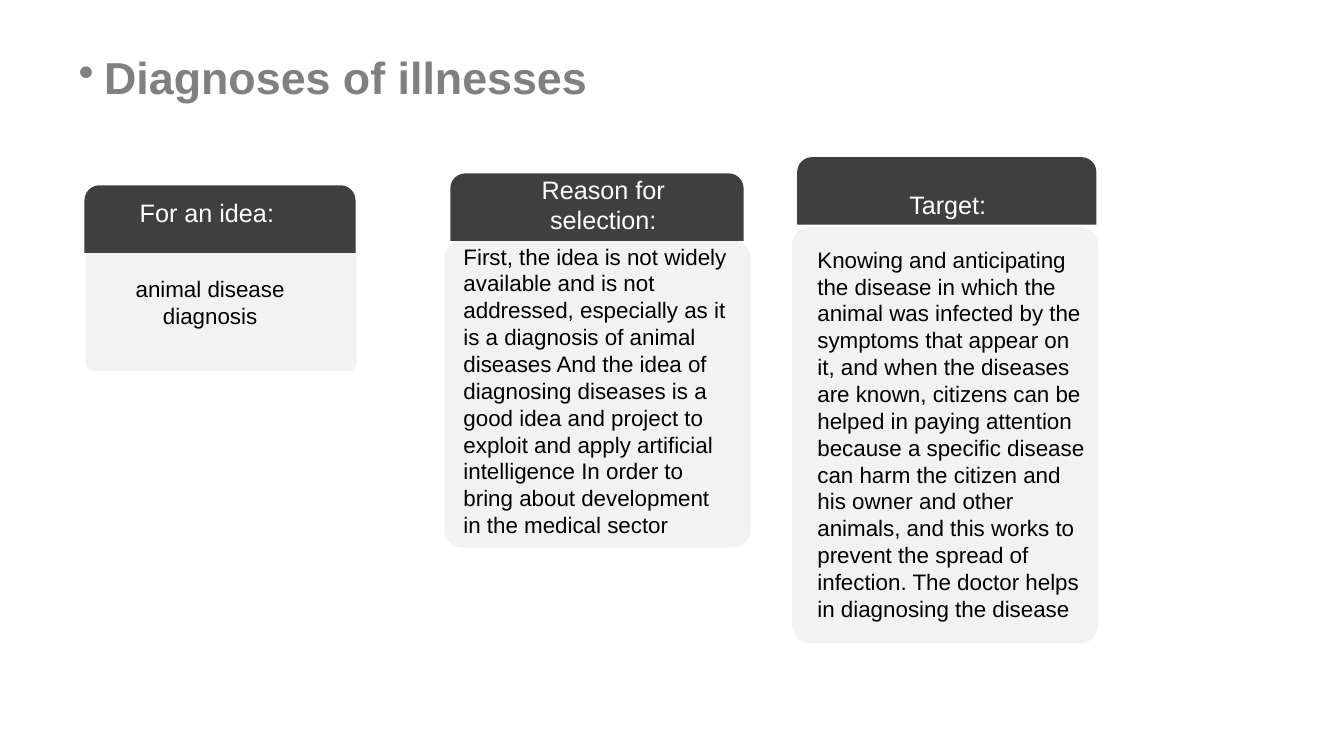
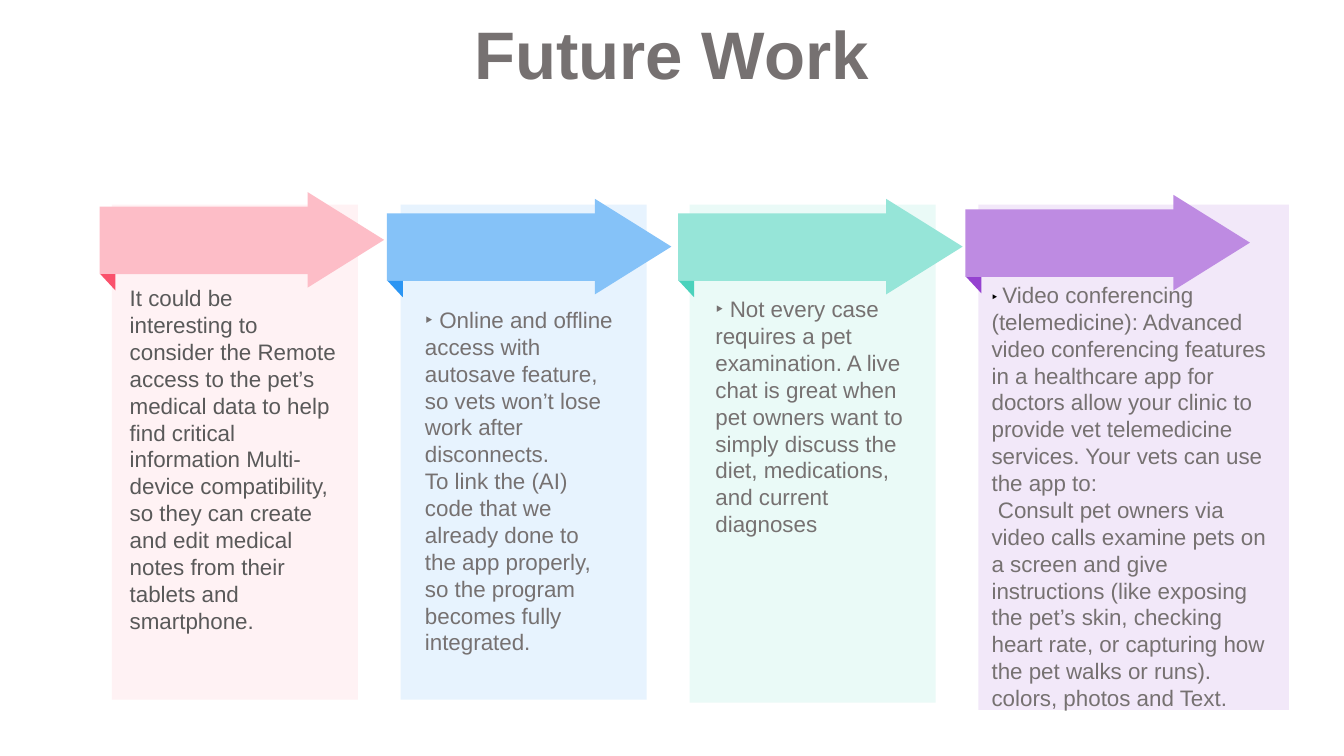
import pptx
import pptx.dml.color
import pptx.enum.shapes
import pptx.enum.text
import pptx.oxml
import pptx.oxml.ns
import pptx.util
from pptx.dml.color import RGBColor
from pptx.enum.shapes import MSO_SHAPE
from pptx.enum.text import MSO_ANCHOR, MSO_AUTO_SIZE, PP_ALIGN
from pptx.util import Cm, Pt

FONT = "Arial"
BLACK = RGBColor(0x00, 0x00, 0x00)
WHITE = RGBColor(0xFF, 0xFF, 0xFF)
TITLE_GRAY = RGBColor(0x80, 0x80, 0x80)
WARM_GRAY = RGBColor(0x76, 0x71, 0x71)
TEXT_GRAY = RGBColor(0x59, 0x59, 0x59)
HEADER_GRAY = RGBColor(0x3F, 0x3F, 0x3F)
PANEL_GRAY = RGBColor(0xF2, 0xF2, 0xF2)
PINK, PINK_FOLD, PINK_PALE = RGBColor(0xFD, 0xBD, 0xC7), RGBColor(0xFA, 0x52, 0x6C), RGBColor(0xFF, 0xF2, 0xF4)
BLUE, BLUE_FOLD, BLUE_PALE = RGBColor(0x85, 0xC2, 0xF8), RGBColor(0x2B, 0x95, 0xF3), RGBColor(0xE7, 0xF3, 0xFE)
MINT, MINT_FOLD, MINT_PALE = RGBColor(0x96, 0xE5, 0xD8), RGBColor(0x4A, 0xD2, 0xBC), RGBColor(0xEA, 0xFA, 0xF7)
VIOLET, VIOLET_FOLD, VIOLET_PALE = RGBColor(0xBE, 0x8B, 0xE2), RGBColor(0x95, 0x42, 0xD0), RGBColor(0xF2, 0xE8, 0xF9)


def add_block(shapes, kind, box, color, rotation=0):
    shape = shapes.add_shape(kind, *[Cm(value) for value in box])
    shape.shadow.inherit = False
    shape.fill.solid()
    shape.fill.fore_color.rgb = color
    shape.line.fill.background()
    shape.rotation = rotation
    return shape


def add_text(slide, box, lines, size, color, alignment=PP_ALIGN.LEFT):
    frame = slide.shapes.add_textbox(*[Cm(value) for value in box]).text_frame
    frame.word_wrap = True
    for index, line in enumerate(lines):
        paragraph = frame.add_paragraph() if index else frame.paragraphs[0]
        for text in line:
            paragraph.add_run().text = text
        paragraph.alignment = alignment
        paragraph.font.name = FONT
        paragraph.font.size = Pt(size)
        paragraph.font.color.rgb = color
    return frame


presentation = pptx.Presentation()
presentation.slide_width = Cm(33.87)
presentation.slide_height = Cm(19.05)
title_only = presentation.slide_layouts[5]

titles = [
    ("Diagnoses of illnesses", (1.73, 1.28, 32.14, 2.6), 32, TITLE_GRAY, PP_ALIGN.LEFT),
    ("Future Work", (0.86, 0.18, 32.14, 2.3), 48, WARM_GRAY, PP_ALIGN.CENTER),
]
slides = []
for text, box, size, color, alignment in titles:
    slide = presentation.slides.add_slide(title_only)
    title = slide.shapes.title
    title.left, title.top, title.width, title.height = [Cm(value) for value in box]
    frame = title.text_frame
    frame.text = text
    frame.word_wrap = True
    frame.auto_size = MSO_AUTO_SIZE.NONE
    frame.vertical_anchor = MSO_ANCHOR.TOP
    paragraph = frame.paragraphs[0]
    paragraph.alignment = alignment
    if alignment == PP_ALIGN.LEFT:
        paragraph.line_spacing = 0.9
        properties = paragraph._p.get_or_add_pPr()
        properties.set("marL", str(Cm(0.64)))
        properties.set("indent", str(-Cm(0.64)))
        properties.append(pptx.oxml.parse_xml(
            f'<a:buChar {pptx.oxml.ns.nsdecls("a")} char="•"/>'))
    paragraph.font.name = FONT
    paragraph.font.size = Pt(size)
    paragraph.font.bold = True
    paragraph.font.color.rgb = color
    slides.append(slide)

diagnoses, future = slides

cards = [
    ((2.13, 4.67, 6.83, 1.7), (2.16, 6.32, 6.83, 3.02),
     (3.12, 4.85, 4.19, 1.02), "For an idea:",
     (2.77, 6.81, 5.05, 1.63), PP_ALIGN.CENTER,
     "animal disease diagnosis"),
    ((11.35, 4.37, 7.39, 1.7), (11.2, 6.05, 7.72, 7.75),
     (12.22, 4.27, 5.97, 1.8), "Reason for selection:",
     (11.43, 5.99, 7.29, 7.77), PP_ALIGN.LEFT,
     "First, the idea is not widely available and is not addressed, especially as it is a "
     "diagnosis of animal diseases And the idea of diagnosing diseases is a good idea and "
     "project to exploit and apply artificial intelligence In order to bring about "
     "development in the medical sector"),
    ((20.09, 3.96, 7.54, 1.7), (19.96, 5.72, 7.72, 10.49),
     (20.9, 4.65, 5.97, 1.02), "Target:",
     (20.35, 6.07, 7.29, 9.83), PP_ALIGN.LEFT,
     "Knowing and anticipating the disease in which the animal was infected by the symptoms "
     "that appear on it, and when the diseases are known, citizens can be helped in paying "
     "attention because a specific disease can harm the citizen and his owner and other "
     "animals, and this works to prevent the spread of infection. The doctor helps in "
     "diagnosing the disease"),
]
for header_box, panel_box, label_box, label, body_box, alignment, body in cards:
    panel = add_block(diagnoses.shapes, MSO_SHAPE.ROUNDED_RECTANGLE, panel_box, PANEL_GRAY)
    panel.adjustments[0] = 0.06
    header = add_block(diagnoses.shapes, MSO_SHAPE.ROUND_2_SAME_RECTANGLE, header_box, HEADER_GRAY)
    header.adjustments[0] = 0.22
    add_text(diagnoses, label_box, [(label,)], 18, WHITE, PP_ALIGN.CENTER)
    add_text(diagnoses, body_box, [(body,)], 16, BLACK, alignment)

columns = [
    ((6.2, 12.47), (2.51, 5.21), (PINK, PINK_FOLD, PINK_PALE),
     (3.02, 7.04, 5.79, 9.14), TEXT_GRAY,
     [("It could be interesting to consider the Remote access to the pet’s medical data to "
       "help find critical information Multi-device compatibility, so they can create and "
       "edit medical notes from their tablets and smartphone.",)]),
    ((6.2, 12.47), (9.75, 5.38), (BLUE, BLUE_FOLD, BLUE_PALE),
     (10.46, 7.59, 5.26, 10.52), WARM_GRAY,
     [("‣ Online and offline access with autosave feature, so vets won’t lose work after "
       "disconnects.",),
      ("To link the (AI) code that we already done to the app properly, so the program "
       "becomes fully integrated.",)]),
    ((6.2, 12.55), (17.09, 5.38), (MINT, MINT_FOLD, MINT_PALE),
     (17.78, 7.32, 5.26, 6.4), WARM_GRAY,
     [("‣ Not every case requires a pet examination. A live chat is great when pet owners "
       "want to simply discuss the diet, medications, and current diagnoses",)]),
    ((7.82, 12.73), (24.33, 5.28), (VIOLET, VIOLET_FOLD, VIOLET_PALE),
     (24.74, 6.96, 7.7, 11.2), WARM_GRAY,
     [("‣ ", "Video conferencing (telemedicine): Advanced video conferencing features in a "
       "healthcare app for doctors allow your clinic to provide vet telemedicine services. "
       "Your vets can use the app to:"),
      ("Consult pet owners via video calls examine pets on a screen and give instructions "
       "(like exposing the pet’s skin, checking heart rate, or capturing how the pet walks "
       "or runs).",),
      ("colors, photos and Text.",)]),
]
for index, (panel_size, (left, top), colors, text_box, text_color, lines) in enumerate(columns):
    arrow_color, fold_color, panel_color = colors
    add_block(future.shapes, MSO_SHAPE.RECTANGLE, (2.82 + 7.28 * index, 5.16, *panel_size), panel_color)
    arrow = future.shapes.add_group_shape().shapes
    add_block(arrow, MSO_SHAPE.RECTANGLE, (left, top, 5.26, 1.7), arrow_color)
    add_block(arrow, MSO_SHAPE.RIGHT_TRIANGLE, (left + 0.02, top + 1.7, 0.38, 0.41), fold_color, 180)
    add_block(arrow, MSO_SHAPE.ISOSCELES_TRIANGLE, (left + 5, top - 0.13, 2.41, 1.93), arrow_color, 90)
    frame = add_text(future, text_box, lines, 16, text_color)

telemedicine, consulting = frame.paragraphs[:2]
marker = telemedicine.runs[0]
marker.font.size = Pt(12)
marker.font.color.rgb = BLACK
consulting._p.get_or_add_pPr().set("indent", str(Cm(0.16)))

presentation.save("out.pptx")
